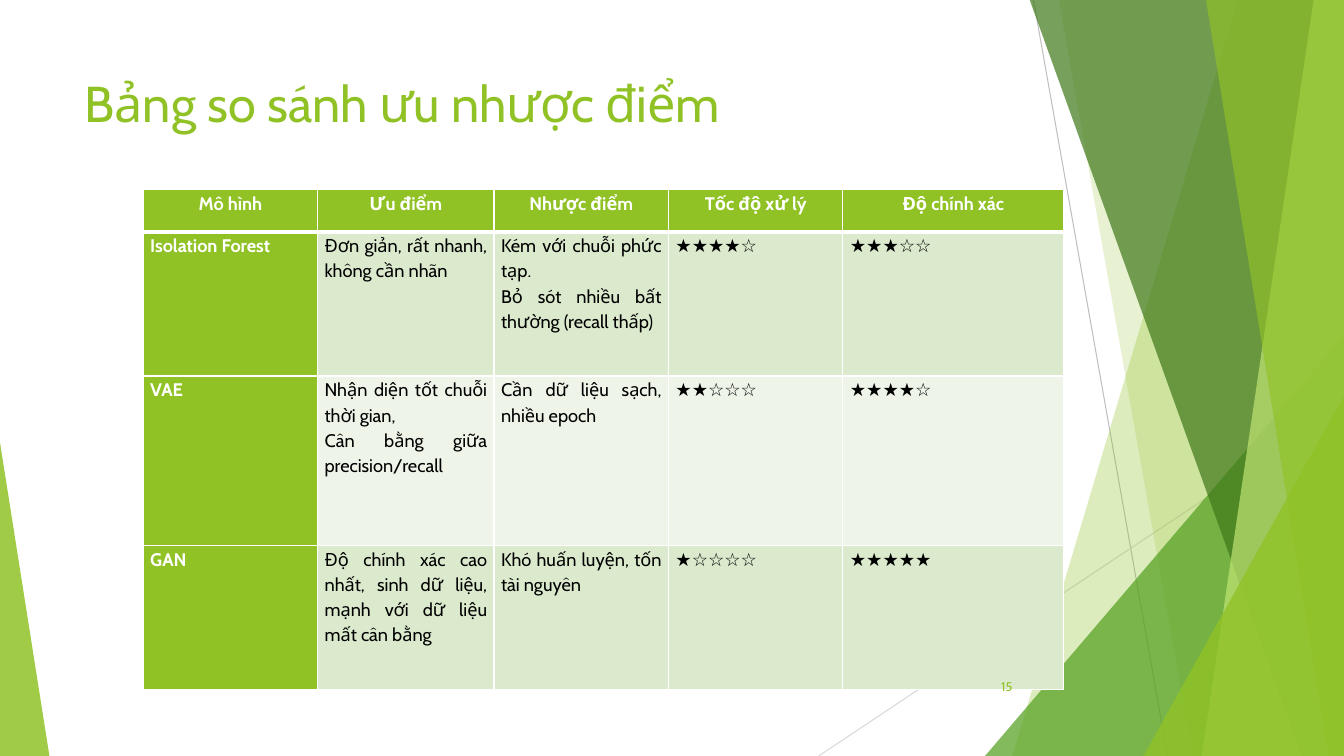
from lxml import etree
from pptx import Presentation
from pptx.dml.color import RGBColor
from pptx.enum.shapes import MSO_CONNECTOR, MSO_SHAPE
from pptx.enum.text import MSO_ANCHOR, PP_ALIGN
from pptx.oxml.ns import qn
from pptx.util import Inches, Pt

STRAIGHT = MSO_CONNECTOR.STRAIGHT
TRIANGLE = MSO_SHAPE.ISOSCELES_TRIANGLE
TOP, MIDDLE = MSO_ANCHOR.TOP, MSO_ANCHOR.MIDDLE
LEFT, CENTER, RIGHT, JUSTIFY = PP_ALIGN.LEFT, PP_ALIGN.CENTER, PP_ALIGN.RIGHT, PP_ALIGN.JUSTIFY

WHITE = RGBColor(0xFF, 0xFF, 0xFF)
BLACK = RGBColor(0x00, 0x00, 0x00)
LIME = RGBColor(0x90, 0xC2, 0x26)
GREEN = RGBColor(0x54, 0xA0, 0x21)
FOREST = RGBColor(0x3F, 0x78, 0x19)
PALE_LIME = RGBColor(0xC0, 0xE4, 0x74)
BAND_DARK = RGBColor(0xDB, 0xE9, 0xCD)
BAND_LIGHT = RGBColor(0xEE, 0xF4, 0xE8)
GRAY = RGBColor(0xBF, 0xBF, 0xBF)
LIGHT_GRAY = RGBColor(0xD9, 0xD9, 0xD9)


def paint(shape, color, opacity):
    """Fill a shape with a translucent colour, without outline or shadow."""
    shape.shadow.inherit = False
    shape.line.fill.background()
    shape.fill.solid()
    shape.fill.fore_color.rgb = color
    tone = shape.fill._xPr.find(qn("a:solidFill"))[0]
    etree.SubElement(tone, qn("a:alpha"), val=str(opacity * 1000))


def write(frame, text, align, size, color, bold=False, spacing=None):
    """Put text in a frame, one paragraph per line."""
    for index, line in enumerate(text.split("\n")):
        para = frame.paragraphs[0] if index == 0 else frame.add_paragraph()
        para.alignment, para.line_spacing = align, spacing
        span = para.add_run()
        span.text = line
        span.font.color.rgb = color
        for name, value in {"name": "Cabin", "size": Pt(size), "bold": bold}.items():
            setattr(span.font, name, value)


deck = Presentation()
deck.slide_width, deck.slide_height = Inches(13.33), Inches(7.5)
page = deck.slides.add_slide(deck.slide_layouts[5])

# Thin lines behind the facets
for x1, y1, x2, y2, color in [
    (10.25, 0, 11.58, 7.5, GRAY),
    (13.33, 4.03, 8.12, 7.5, LIGHT_GRAY),
]:
    ray = page.shapes.add_connector(STRAIGHT, Inches(x1), Inches(y1), Inches(x2), Inches(y2))
    ray.line.color.rgb = color
    ray.line.width = Pt(0.75)
    etree.SubElement(ray._element.spPr, qn("a:effectLst"))

# Facets, back to front: slabs give their top and bottom left corners and
# reach the right edge; triangles give left, top, width and apex position
for kind, geometry, color, opacity in [
    ("slab", (12.28, 10.04), LIME, 30),
    ("slab", (10.5, 11.83), LIME, 20),
    ("triangle", (9.77, 3.33, 3.56, 1), GREEN, 72),
    ("slab", (10.21, 12.91), FOREST, 70),
    ("slab", (13.03, 11.92), PALE_LIME, 70),
    ("slab", (11.96, 13.18), LIME, 65),
    ("triangle", (11.34, 3.93, 1.99, 1), LIME, 80),
    ("triangle", (0, 4.39, 0.49, 0), LIME, 85),
]:
    if kind == "slab":
        upper, lower = geometry
        outline = page.shapes.build_freeform(Inches(upper), Inches(-0.01))
        corners = [(13.33, -0.01), (13.33, 7.5), (lower, 7.5)]
        outline.add_line_segments([(Inches(x), Inches(y)) for x, y in corners])
        facet = outline.convert_to_shape()
    else:
        left, top, width, apex = geometry
        facet = page.shapes.add_shape(
            TRIANGLE, Inches(left), Inches(top), Inches(width), Inches(7.5 - top))
        facet.adjustments[0] = apex
    paint(facet, color, opacity)

# Title
title = page.shapes.title
title.left, title.top = Inches(0.74), Inches(0.67)
title.width, title.height = Inches(9.4), Inches(1.44)
title.text_frame.vertical_anchor = TOP
write(title.text_frame, "Bảng so sánh ưu nhược điểm", LEFT, 36, LIME)

# Comparison table
models = [
    ("Mô hình", "Ưu điểm", "Nhược điểm", "Tốc độ xử lý", "Độ chính xác"),
    ("Isolation Forest", "Đơn giản, rất nhanh, không cần nhãn",
     "Kém với chuỗi phức tạp.\nBỏ sót nhiều bất thường (recall thấp)", "★★★★☆", "★★★☆☆"),
    ("VAE", "Nhận diện tốt chuỗi thời gian,\nCân bằng giữa precision/recall",
     "Cần dữ liệu sạch, nhiều epoch", "★★☆☆☆", "★★★★☆"),
    ("GAN", "Độ chính xác cao nhất, sinh dữ liệu, mạnh với dữ liệu mất cân bằng",
     "Khó huấn luyện, tốn tài nguyên", "★☆☆☆☆", "★★★★★"),
]
grid = page.shapes.add_table(
    len(models), 5, Inches(1.42), Inches(1.88), Inches(9.14), Inches(4.96)).table
for column, width in zip(grid.columns, [1.73, 1.75, 1.73, 1.73, 2.19]):
    column.width = Inches(width)
for row, height in zip(grid.rows, [0.42, 1.43, 1.68, 1.43]):
    row.height = Inches(height)

for r, model in enumerate(models):
    for c, text in enumerate(model):
        cell = grid.cell(r, c)
        heading = r == 0 or c == 0
        cell.margin_left = cell.margin_right = Inches(0.07)
        cell.margin_top = cell.margin_bottom = 0
        cell.fill.solid()
        cell.fill.fore_color.rgb = LIME if heading else BAND_DARK if r % 2 else BAND_LIGHT
        write(cell.text_frame, text, CENTER if r == 0 else JUSTIFY, 13,
              WHITE if heading else BLACK, heading, 1.15)
        # White borders, thicker under the header row
        borders = {"lnL": 1, "lnR": 1, "lnT": 3 if r == 1 else 1, "lnB": 3 if r == 0 else 1}
        for index, (side, points) in enumerate(borders.items()):
            border = etree.Element(qn("a:" + side), w=str(Pt(points)))
            ink = etree.SubElement(border, qn("a:solidFill"))
            etree.SubElement(ink, qn("a:srgbClr"), val=str(WHITE))
            cell._tc.tcPr.insert(index, border)

# Page number
number = page.shapes.add_textbox(Inches(9.39), Inches(6.61), Inches(0.75), Inches(0.4))
number.text_frame.word_wrap = True
number.text_frame.vertical_anchor = MIDDLE
write(number.text_frame, "15", RIGHT, 9, LIME)

deck.save("out.pptx")
